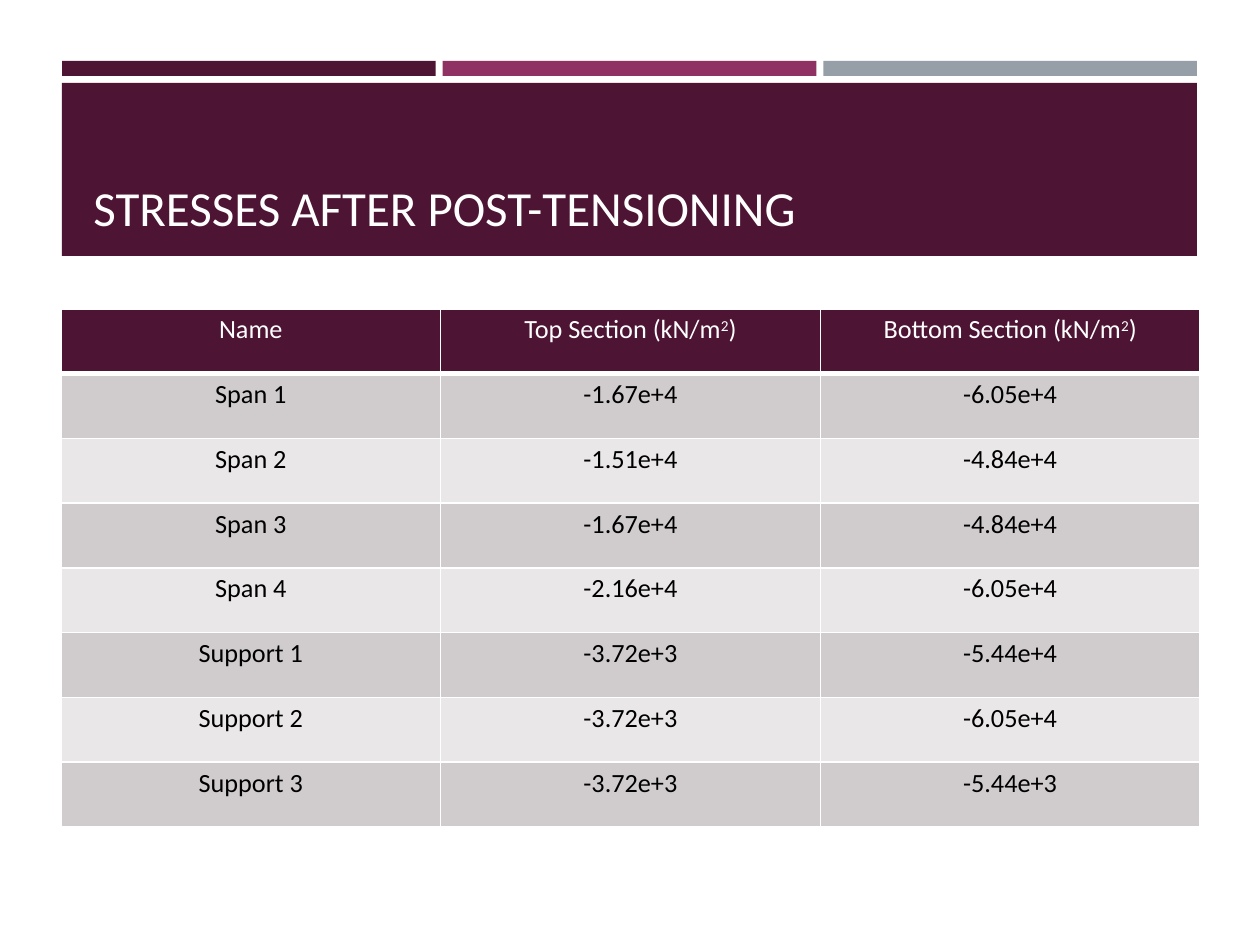
import lxml.etree
import pptx
import pptx.dml.color
import pptx.enum.shapes
import pptx.enum.text
import pptx.oxml.ns
import pptx.util

TITLE = "STRESSES AFTER POST-TENSIONING"
# Every second piece of a heading is superscript.
HEADINGS = [
    ("Name",),
    ("Top Section (kN/m", "2", ")"),
    ("Bottom Section (kN/m", "2", ")"),
]
STRESSES = [
    ("Span 1", "-1.67e+4", "-6.05e+4"),
    ("Span 2", "-1.51e+4", "-4.84e+4"),
    ("Span 3", "-1.67e+4", "-4.84e+4"),
    ("Span 4", "-2.16e+4", "-6.05e+4"),
    ("Support 1", "-3.72e+3", "-5.44e+4"),
    ("Support 2", "-3.72e+3", "-6.05e+4"),
    ("Support 3", "-3.72e+3", "-5.44e+3"),
]

THEME = {
    "font": "Calibri",
    "title_size": 28,
    "table_size": 15,
    "plum": "4D1434",
    "magenta": "903163",
    "grey": "969FA7",
    "bands": ("D0CCCE", "E9E7E8"),
    "light": "FFFFFF",
    "dark": "000000",
}

# Places in px: left, top, width, height
SLIDE_SIZE = (1260, 945)
STRIPES = (62, 61, 1135, 15)
STRIPE_GAP = 7
BANNER = (62, 83, 1135, 173)
TITLE_BOX = (81, 94, 1101, 149)
TABLE = (61, 309, 1139, 518)
CELL_MARGINS = {"margin_left": 9, "margin_right": 9, "margin_top": 5, "margin_bottom": 5}
EMU_PER_PX = 914400 / 126


def px(length):
    return pptx.util.Emu(round(length * EMU_PER_PX))


def rgb(color):
    return pptx.dml.color.RGBColor.from_string(color)


def paint(part, color):
    part.fill.solid()
    part.fill.fore_color.rgb = rgb(color)


def add_block(slide, place, color):
    block = slide.shapes.add_shape(
        pptx.enum.shapes.MSO_SHAPE.RECTANGLE, *map(px, place))
    block.shadow.inherit = False
    block.line.fill.background()
    paint(block, color)


def add_run(paragraph, text, size, color):
    run = paragraph.add_run()
    run.text = text
    font_format = {"name": THEME["font"], "size": pptx.util.Pt(size)}
    for attribute, value in font_format.items():
        setattr(run.font, attribute, value)
    run.font.color.rgb = rgb(color)
    return run


def add_borders(cell, bottom_width):
    qn = pptx.oxml.ns.qn
    properties = cell._tc.get_or_add_tcPr()
    for side, width in {"L": 1, "R": 1, "T": 1, "B": bottom_width}.items():
        line = lxml.etree.SubElement(
            properties, qn(f"a:ln{side}"), w=str(pptx.util.Pt(width)))
        fill = lxml.etree.SubElement(line, qn("a:solidFill"))
        lxml.etree.SubElement(fill, qn("a:srgbClr"), val=THEME["light"])


def fill_cell(cell, pieces, fill, color, bottom_width):
    for margin, length in CELL_MARGINS.items():
        setattr(cell, margin, px(length))
    add_borders(cell, bottom_width)
    paint(cell, fill)
    paragraph = cell.text_frame.paragraphs[0]
    paragraph.alignment = pptx.enum.text.PP_ALIGN.CENTER
    for index, piece in enumerate(pieces):
        run = add_run(paragraph, piece, THEME["table_size"], color)
        if index % 2:
            run._r.get_or_add_rPr().set("baseline", "30000")


def add_banner(slide):
    left, top, width, height = STRIPES
    colors = [THEME[name] for name in ("plum", "magenta", "grey")]
    stripe_width = (width - STRIPE_GAP * (len(colors) - 1)) / len(colors)
    for index, color in enumerate(colors):
        stripe_left = left + index * (stripe_width + STRIPE_GAP)
        add_block(slide, (stripe_left, top, stripe_width, height), color)
    add_block(slide, BANNER, THEME["plum"])

    title = slide.shapes.add_textbox(*map(px, TITLE_BOX)).text_frame
    title.word_wrap = True
    title.vertical_anchor = pptx.enum.text.MSO_ANCHOR.BOTTOM
    add_run(title.paragraphs[0], TITLE, THEME["title_size"], THEME["light"])


def add_stress_table(slide):
    row_count, column_count = len(STRESSES) + 1, len(HEADINGS)
    table = slide.shapes.add_table(
        row_count, column_count, *map(px, TABLE)).table
    for column in table.columns:
        column.width = px(TABLE[2] / column_count)
    for row in table.rows:
        row.height = px(TABLE[3] / row_count)

    for column, heading in enumerate(HEADINGS):
        fill_cell(table.cell(0, column), heading, THEME["plum"], THEME["light"], 3)
    for row, stresses in enumerate(STRESSES):
        band = THEME["bands"][row % 2]
        for column, text in enumerate(stresses):
            fill_cell(table.cell(row + 1, column), [text], band, THEME["dark"], 1)


def main():
    deck = pptx.Presentation()
    deck.slide_width, deck.slide_height = map(px, SLIDE_SIZE)
    slide = deck.slides.add_slide(deck.slide_layouts[6])
    add_banner(slide)
    add_stress_table(slide)
    deck.save("out.pptx")


if __name__ == "__main__":
    main()
